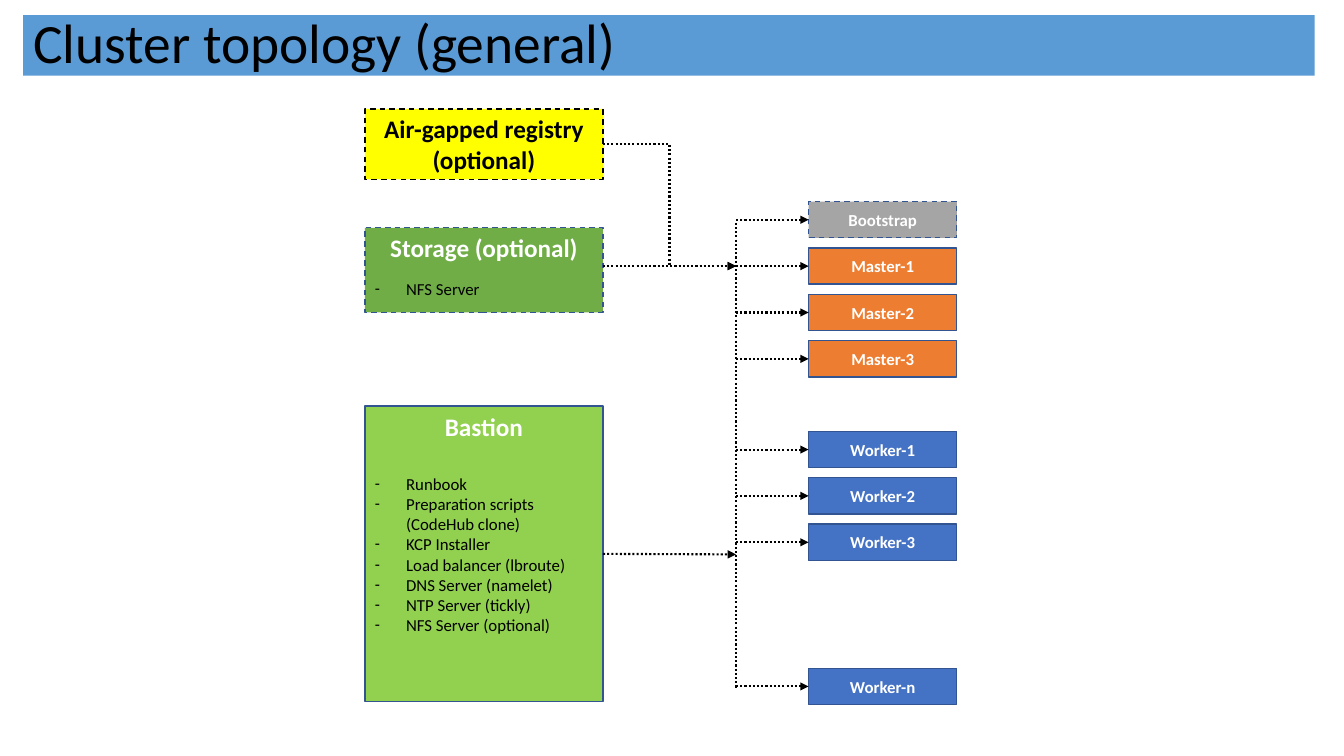
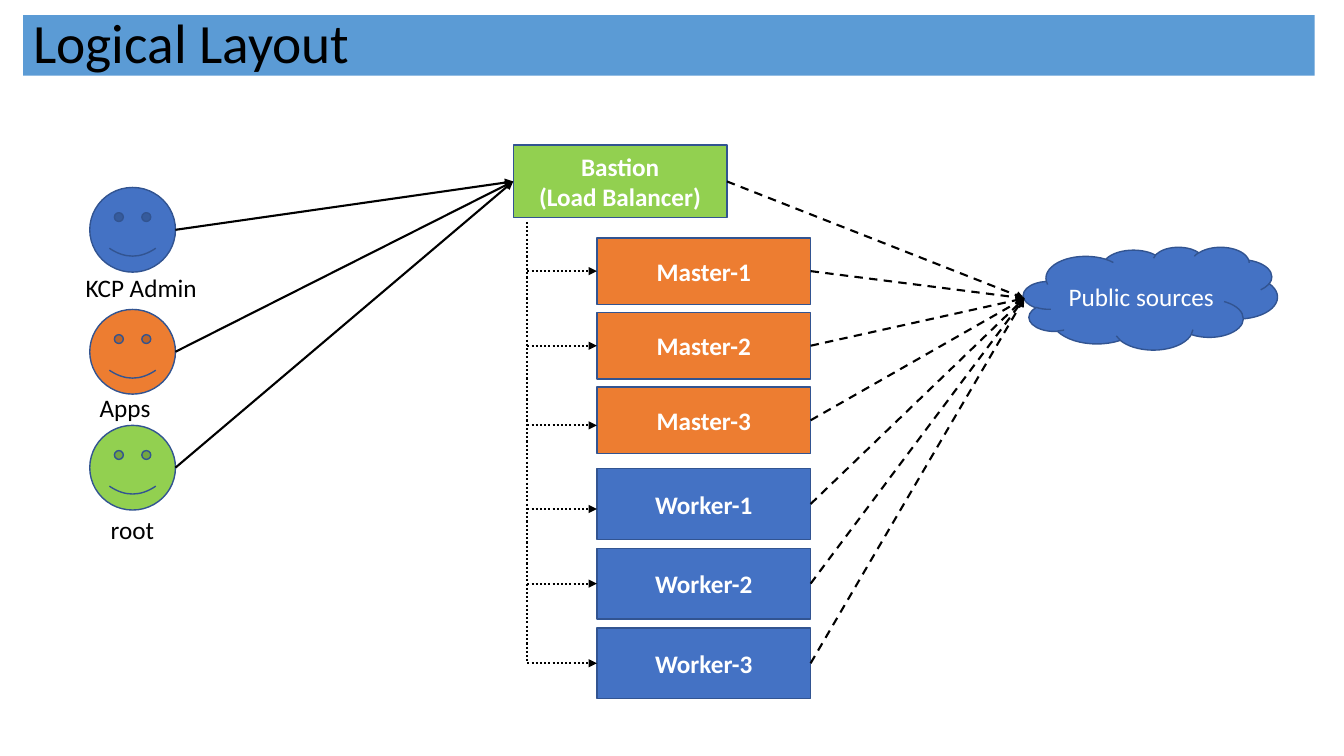
from lxml import etree
from pptx import Presentation
from pptx.dml.color import RGBColor
from pptx.enum import dml, shapes, text
from pptx.oxml import ns
from pptx.util import Inches, Pt

FONT = "Calibri"
COLORS = {
    "band": "5B9BD5",
    "black": "000000",
    "white": "FFFFFF",
    "outline": "325491",
    "blue": "4472C4",
    "orange": "ED7D31",
    "lime": "92D050",
    "green": "70AD47",
    "gray": "A5A5A5",
    "yellow": "FFFF00",
}
DASH = dml.MSO_LINE.DASH
DOT = dml.MSO_LINE.ROUND_DOT
SHAPE = shapes.MSO_SHAPE
TOP, MIDDLE = text.MSO_ANCHOR.TOP, text.MSO_ANCHOR.MIDDLE
LEFT, CENTER = text.PP_ALIGN.LEFT, text.PP_ALIGN.CENTER
LEFT_SIDE, RIGHT_SIDE = 1, 3


def rgb(name):
    return RGBColor.from_string(COLORS[name])


def place(sp, x, y, w, h):
    sp.left, sp.top, sp.width, sp.height = (Inches(v) for v in (x, y, w, h))


def format_text(tf, size, color, bold=False, align=LEFT):
    for p in tf.paragraphs:
        p.alignment = align
        p.font.name = FONT
        p.font.size = Pt(size)
        p.font.bold = bold
        p.font.color.rgb = rgb(color)


def add_slide(prs, title):
    slide = prs.slides.add_slide(prs.slide_layouts[5])
    sp = slide.shapes.title
    place(sp, 0.23, 0.15, 12.81, 0.6)
    sp.fill.solid()
    sp.fill.fore_color.rgb = rgb("band")
    tf = sp.text_frame
    tf.text = title
    tf.auto_size = text.MSO_AUTO_SIZE.NONE
    tf.vertical_anchor = MIDDLE
    format_text(tf, 39.6, "black")
    tf.paragraphs[0].line_spacing = 0.9
    return slide


def add_box(slide, at, fill, label="", size=18, color="white", bold=True,
            anchor=MIDDLE, kind=SHAPE.RECTANGLE, line="outline", dash=None):
    sp = slide.shapes.add_shape(kind, *(Inches(v) for v in at))
    sp.shadow.inherit = False
    sp.fill.solid()
    sp.fill.fore_color.rgb = rgb(fill)
    sp.line.color.rgb = rgb(line)
    sp.line.width = Pt(1)
    if dash:
        sp.line.dash_style = dash
    if label:
        tf = sp.text_frame
        tf.text = label
        tf.word_wrap = True
        tf.vertical_anchor = anchor
        format_text(tf, size, color, bold, CENTER)
    return sp


def add_stack(slide, labels, at, pitch, fill, size):
    x, y, w, h = at
    return [add_box(slide, (x, y + i * pitch, w, h), fill, label, size)
            for i, label in enumerate(labels)]


def add_text(slide, at, lines, size, bullet=None):
    sp = slide.shapes.add_textbox(*(Inches(v) for v in at))
    tf = sp.text_frame
    tf.text = "\n".join(lines)
    tf.word_wrap = False
    tf.auto_size = text.MSO_AUTO_SIZE.SHAPE_TO_FIT_TEXT
    format_text(tf, size, "black")
    if bullet:
        for p in tf.paragraphs:
            pPr = p._p.get_or_add_pPr()
            pPr.set("marL", str(Inches(0.31)))
            pPr.set("indent", str(-Inches(0.31)))
            for tag, attrs in (("a:buFont", {"typeface": FONT}),
                               ("a:buChar", {"char": bullet})):
                mark = etree.Element(ns.qn(tag), attrs)
                pPr.insert_element_before(mark, "a:tabLst", "a:defRPr", "a:extLst")


def add_line(slide, start, end, dash=None, arrow=True, begin=None, target=None,
             kind=shapes.MSO_CONNECTOR.STRAIGHT):
    cx = slide.shapes.add_connector(kind, *(Inches(v) for v in (*start, *end)))
    if begin:
        cx.begin_connect(begin, RIGHT_SIDE)
    if target:
        cx.end_connect(target, LEFT_SIDE)
    cx.line.color.rgb = rgb("black")
    cx.line.width = Pt(1.5)
    if dash:
        cx.line.dash_style = dash
    if arrow:
        etree.SubElement(cx.line._get_or_add_ln(), ns.qn("a:tailEnd"), type="triangle")
    etree.SubElement(cx._element.spPr, ns.qn("a:effectLst"))


def side_point(sp, side):
    x = sp.left + (sp.width if side == RIGHT_SIDE else 0)
    return x / Inches(1), (sp.top + sp.height / 2) / Inches(1)


def add_branch(slide, bus_x, node, drop=0):
    x, y = side_point(node, LEFT_SIDE)
    y += drop
    add_line(slide, (bus_x, y), (x, y), DOT, target=None if drop else node)


def build_topology(prs):
    slide = add_slide(prs, "Cluster topology (general)")
    col_x, col_w, bus_x = 3.62, 2.36, 7.3
    node_x, node_w, node_h, pitch = 8.02, 1.47, 0.36, 0.46

    registry = add_box(slide, (col_x, 1.08, col_w, 0.7), "yellow",
                       "Air-gapped registry (optional)", color="black",
                       anchor=TOP, line="black", dash=DASH)
    add_box(slide, (col_x, 2.26, col_w, 0.84), "green", "Storage (optional)",
            anchor=TOP, dash=DASH)
    add_text(slide, (col_x, 2.72, 1.25, 0.3), ["NFS Server"], 12, "-")
    bastion = add_box(slide, (col_x, 4.03, col_w, 2.93), "lime", "Bastion", anchor=TOP)
    add_text(slide, (col_x, 4.65, 2.16, 1.72), [
        "Runbook",
        "Preparation scripts \v(CodeHub clone)",
        "KCP Installer",
        "Load balancer (lbroute)",
        "DNS Server (namelet)",
        "NTP Server (tickly)",
        "NFS Server (optional)",
    ], 12, "-")

    bootstrap = add_box(slide, (node_x, 2, node_w, node_h), "gray", "Bootstrap", 12,
                        dash=DASH)
    nodes = [bootstrap]
    for labels, y, fill in (
        (["Master-1", "Master-2", "Master-3"], 2.46, "orange"),
        (["Worker-1", "Worker-2", "Worker-3"], 4.28, "blue"),
        (["Worker-n"], 6.63, "blue"),
    ):
        nodes += add_stack(slide, labels, (node_x, y, node_w, node_h), pitch, fill, 12)

    add_line(slide, (bus_x, 2.21), (bus_x, 6.84), DOT, arrow=False)
    for node in nodes:
        add_branch(slide, bus_x, node)

    right = col_x + col_w
    add_line(slide, (right, 2.64), (bus_x, 2.64), DOT)
    add_line(slide, (right, 5.5), (bus_x, 5.5), DOT, begin=bastion)
    add_line(slide, (right, 1.43), (bus_x, 2.64), DOT, begin=registry,
             kind=shapes.MSO_CONNECTOR.ELBOW)


def build_layout(prs):
    slide = add_slide(prs, "Logical Layout")
    bus_x, node_x, node_w = 5.23, 5.92, 2.12
    cloud_in = (10.16, 2.96)

    bastion = add_box(slide, (5.09, 1.44, node_w, 0.72), "lime",
                      "Bastion\v(Load Balancer)")
    masters = add_stack(slide, ["Master-1", "Master-2", "Master-3"],
                        (node_x, 2.36, node_w, 0.66), 0.74, "orange", 18)
    workers = add_stack(slide, ["Worker-1", "Worker-2", "Worker-3"],
                        (node_x, 4.65, node_w, 0.7), 0.79, "blue", 18)
    add_box(slide, (10.15, 2.45, 2.52, 1.02), "blue", "Public sources",
            bold=False, kind=SHAPE.CLOUD)

    for label, fill, y, label_at in (
        ("KCP Admin", "blue", 1.86, (0.75, 2.65, 1.36, 0.4)),
        ("Apps", "orange", 3.07, (0.89, 3.84, 0.71, 0.4)),
        ("root", "lime", 4.22, (1, 5.05, 0.64, 0.4)),
    ):
        face = add_box(slide, (0.89, y, 0.85, 0.84), fill, kind=SHAPE.SMILEY_FACE)
        add_text(slide, label_at, [label], 18)
        add_line(slide, side_point(face, RIGHT_SIDE), side_point(bastion, LEFT_SIDE),
                 target=bastion)

    nodes = masters + workers
    for sp in [bastion] + nodes:
        add_line(slide, side_point(sp, RIGHT_SIDE), cloud_in, DASH, begin=sp)

    add_line(slide, (bus_x, 2.2), (bus_x, 6.58), DOT, arrow=False)
    for node, drop in zip(nodes, (0, 0, 0.05, 0.05, 0, 0)):
        add_branch(slide, bus_x, node, drop)


def main():
    prs = Presentation()
    prs.slide_width = Inches(13.33)
    prs.slide_height = Inches(7.5)
    build_topology(prs)
    build_layout(prs)
    prs.save("out.pptx")


if __name__ == "__main__":
    main()
